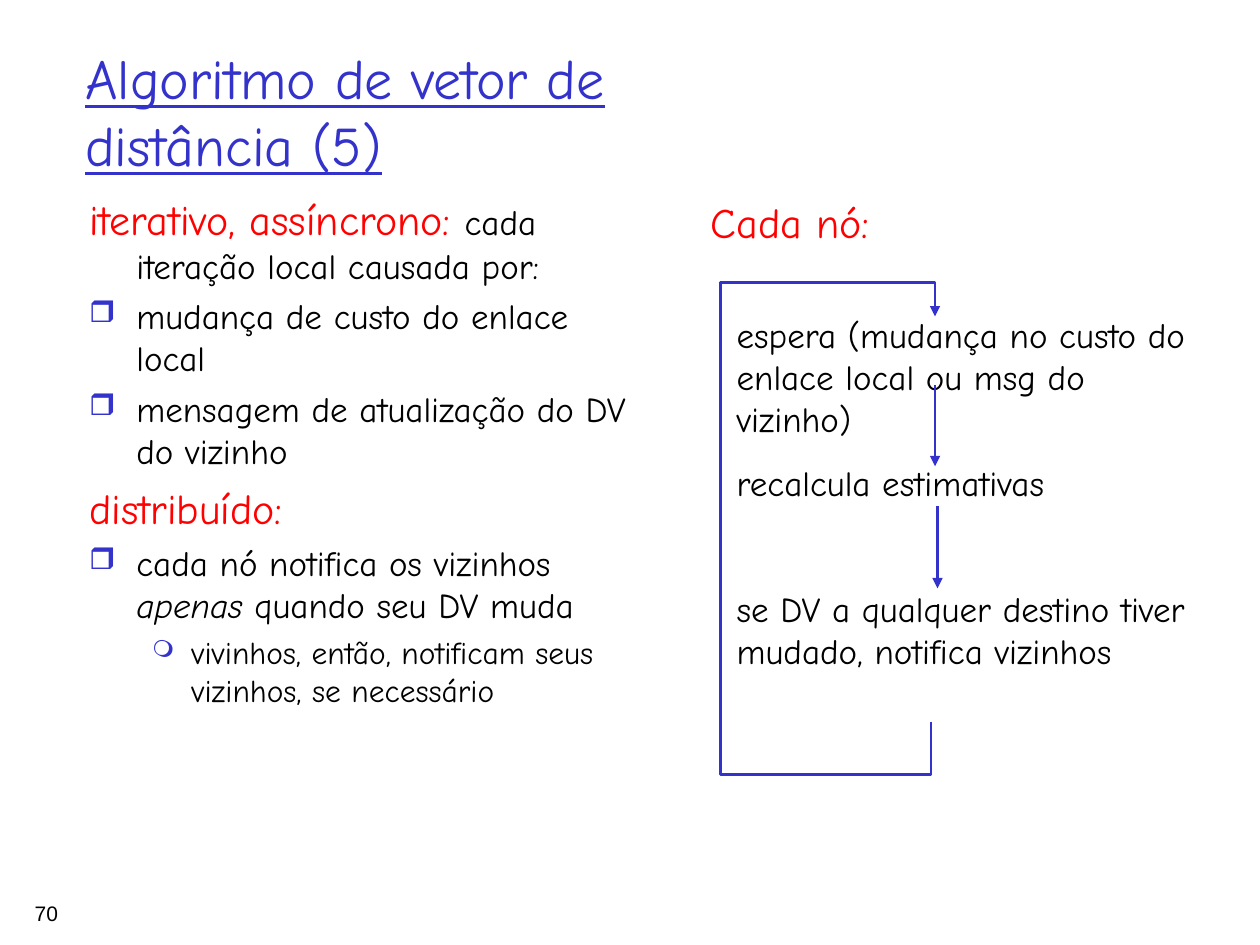
from lxml.etree import SubElement
from pptx import Presentation
from pptx.dml.color import RGBColor
from pptx.enum.shapes import MSO_CONNECTOR
from pptx.enum.text import MSO_ANCHOR, PP_ALIGN
from pptx.oxml.ns import qn
from pptx.util import Cm, Pt

BLUE, RED, BLACK = "3333CC", "FF0000", "000000"
HAND = "Comic Neue"


def color(value):
    return RGBColor.from_string(value)


def style(span, size, tint=BLACK, font=HAND, italic=None, underline=None):
    span.font.size = Pt(size)
    span.font.name = font
    span.font.color.rgb = color(tint)
    span.font.italic = italic
    span.font.underline = underline


def add_box(page, left, top, width, height, wrap=True):
    box = page.shapes.add_textbox(Cm(left), Cm(top), Cm(width), Cm(height))
    box.text_frame.word_wrap = wrap
    return box.text_frame


def add_text(page, place, text, size, tint=BLACK, font=HAND, underline=None, wrap=True):
    frame = add_box(page, *place, wrap=wrap)
    frame.text = text
    for span in frame.paragraphs[0].runs:
        style(span, size, tint, font, underline=underline)
    return frame


def next_para(frame, first):
    return frame.paragraphs[0] if first else frame.add_paragraph()


def set_bullet(para, symbol, percent):
    props = para._p.get_or_add_pPr()
    tint = SubElement(props, qn("a:buClr"))
    SubElement(tint, qn("a:srgbClr"), val=BLUE)
    SubElement(props, qn("a:buSzPct"), val=str(percent * 1000))
    SubElement(props, qn("a:buChar"), char=symbol)


def set_indent(para, margin, hanging):
    props = para._p.get_or_add_pPr()
    props.set("marL", str(Cm(margin)))
    props.set("indent", str(-Cm(hanging)))


def add_outline(page, place, items):
    """Each item: kind and spans of (text, size, color, italic)."""
    # kind: margin, hanging, space before, bullet, bullet percent
    kinds = {
        "lead": (0.95, 0.95, 6, None, None),
        "point": (0.95, 0.95, 5, "❒", 85),
        "detail": (2.06, 0.79, 4.5, "❍", 75),
    }
    frame = add_box(page, *place)
    for index, (kind, spans) in enumerate(items):
        margin, hanging, before, symbol, percent = kinds[kind]
        para = next_para(frame, index == 0)
        set_indent(para, margin, hanging)
        if index:
            para.space_before = Pt(before)
        if symbol:
            set_bullet(para, symbol, percent)
        for text, size, tint, italic in spans:
            span = para.add_run()
            span.text = text
            style(span, size, tint, italic=italic)


def add_steps(page, place, top_inset, steps):
    frame = add_box(page, *place)
    frame.margin_top = Cm(top_inset)
    for index, (text, before) in enumerate(steps):
        para = next_para(frame, index == 0)
        para.text = text
        if index:
            para.space_before = Pt(before)
        style(para.runs[0], 20)


def set_arrow(shape):
    shape.line.color.rgb = color(BLUE)
    shape.line.width = Pt(1.5)
    SubElement(shape.line._get_or_add_ln(), qn("a:tailEnd"), type="triangle")


def add_arrow(page, x, top, bottom):
    arrow = page.shapes.add_connector(
        MSO_CONNECTOR.STRAIGHT, Cm(x), Cm(top), Cm(x), Cm(bottom))
    set_arrow(arrow)
    SubElement(arrow._element.spPr, qn("a:effectLst"))


def add_loop(page, points):
    corners = [(Cm(x), Cm(y)) for x, y in points]
    builder = page.shapes.build_freeform(*corners[0])
    builder.add_line_segments(corners[1:], close=False)
    loop = builder.convert_to_shape()
    loop.shadow.inherit = False
    loop.fill.background()
    set_arrow(loop)


def main():
    deck = Presentation()
    deck.slide_width, deck.slide_height = Cm(25.4), Cm(19.05)
    page = deck.slides.add_slide(deck.slide_layouts[6])

    # Page number and title
    add_text(page, (0.45, 18.03, 8.94, 0.58), "70", 12, font="Arial")
    title = add_text(page, (1.47, 0.64, 21.59, 3.18),
                     "Algoritmo de vetor de\vdistância (5)", 32, BLUE, underline=True)
    title.vertical_anchor = MSO_ANCHOR.MIDDLE

    # Left column: properties of the algorithm
    add_outline(page, (1.55, 3.78, 11.43, 12.9), [
        ("lead", [("iterativo, assíncrono: ", 24, RED, None),
                  ("cada iteração local causada por:", 20, BLACK, None)]),
        ("point", [("mudança de custo do enlace local", 20, BLACK, None)]),
        ("point", [("mensagem de atualização do DV do vizinho", 20, BLACK, None)]),
        ("lead", [("distribuído:", 24, RED, None)]),
        ("point", [("cada nó notifica os vizinhos ", 20, BLACK, None),
                   ("apenas", 20, BLACK, True),
                   (" quando seu DV muda", 20, BLACK, None)]),
        ("detail", [("vivinhos, então, notificam seus vizinhos, se necessário",
                     18, BLACK, None)]),
    ])

    # Right column: steps of each node
    add_steps(page, (14.6, 4.72, 9.78, 10.26), 1.6, [
        ("espera (mudança no custo do enlace local ou msg do vizinho)", 0),
        ("recalcula estimativas", 12.5),
        ("se DV a qualquer destino tiver mudado, notifica vizinhos", 48),
    ])

    # Arrows between steps and the loop back to the start
    add_arrow(page, 18.85, 7.77, 9.4)
    add_arrow(page, 18.9, 10.21, 11.86)
    add_loop(page, [(18.77, 14.55), (18.77, 15.62), (14.53, 15.62),
                    (14.53, 5.69), (18.85, 5.69), (18.85, 6.38)])

    # Heading of the right column
    heading = add_text(page, (14.07, 3.84, 3.71, 1.27), "Cada nó:", 24, RED, wrap=False)
    heading.paragraphs[0].alignment = PP_ALIGN.CENTER

    deck.save("out.pptx")


if __name__ == "__main__":
    main()
